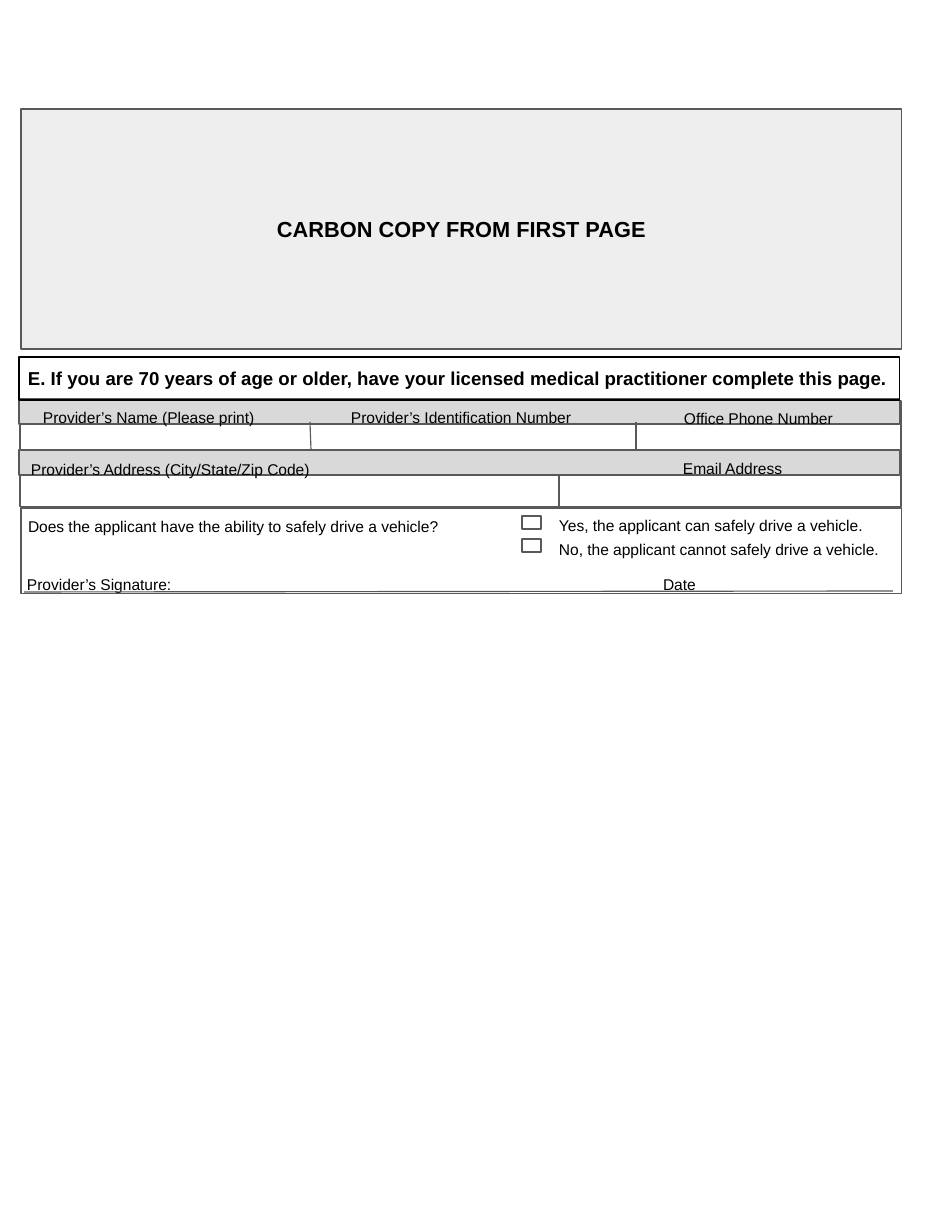
from lxml.etree import SubElement
from pptx import Presentation
from pptx.dml.color import RGBColor
from pptx.enum.shapes import MSO_CONNECTOR, MSO_SHAPE
from pptx.enum.text import MSO_ANCHOR, PP_ALIGN
from pptx.oxml.ns import qn
from pptx.util import Emu, Inches, Pt

BLACK = RGBColor(0x00, 0x00, 0x00)
BORDER = RGBColor(0x59, 0x59, 0x59)
BAND = RGBColor(0xD9, 0xD9, 0xD9)
PANEL = RGBColor(0xEE, 0xEE, 0xEE)

PX_PER_INCH = 112
FORM_WIDTH = 881
BAND_HEIGHT = 25


def px(length):
    return Emu(round(length * Inches(1) / PX_PER_INCH))


def write_text(shape, text, size=10, bold=False, align=PP_ALIGN.LEFT,
               anchor=MSO_ANCHOR.TOP, inset=9):
    frame = shape.text_frame
    frame.word_wrap = True
    frame.vertical_anchor = anchor
    frame.margin_left = frame.margin_right = px(inset)
    frame.margin_top = frame.margin_bottom = px(inset)
    paragraph = frame.paragraphs[0]
    paragraph.alignment = align
    run = paragraph.add_run()
    run.text = text
    run.font.name = "Arial"
    run.font.size = Pt(size)
    run.font.bold = bold
    run.font.color.rgb = BLACK


class FormSlide:
    """Draws form elements, measured in px, on one slide."""

    line_width = Pt(0.75)

    def __init__(self, slide):
        self.slide = slide

    def box(self, left, top, width, height, fill=None, line=BORDER):
        shape = self.slide.shapes.add_shape(
            MSO_SHAPE.RECTANGLE, px(left), px(top), px(width), px(height))
        shape.shadow.inherit = False
        if fill is None:
            shape.fill.background()
        else:
            shape.fill.solid()
            shape.fill.fore_color.rgb = fill
        shape.line.color.rgb = line
        shape.line.width = self.line_width
        return shape

    def label(self, text, left, top, width, height=31):
        shape = self.slide.shapes.add_textbox(
            px(left), px(top), px(width), px(height))
        write_text(shape, text)

    def rule(self, x1, y1, x2, y2):
        connector = self.slide.shapes.add_connector(
            MSO_CONNECTOR.STRAIGHT, px(x1), px(y1), px(x2), px(y2))
        connector.line.color.rgb = BORDER
        connector.line.width = self.line_width
        SubElement(connector._element.spPr, qn("a:effectLst"))


def main():
    presentation = Presentation()
    presentation.slide_width = Inches(8.5)
    presentation.slide_height = Inches(11)
    form = FormSlide(presentation.slides.add_slide(presentation.slide_layouts[6]))

    # Frames and grey header bands
    form.box(21, 508, FORM_WIDTH, 86)
    form.box(20, 401, FORM_WIDTH, 106)
    for top in (450, 399):
        form.box(19, top, FORM_WIDTH, BAND_HEIGHT, fill=BAND)

    heading = form.box(19, 357, FORM_WIDTH, 43, line=BLACK)
    write_text(heading,
               "E. If you are 70 years of age or older, have your licensed "
               "medical practitioner complete this page.",
               size=12, bold=True, anchor=MSO_ANCHOR.MIDDLE)

    for text, left, top, width in (
        ("Provider’s Name (Please print)", 34, 399, 245),
        ("Provider’s Identification Number", 342, 399, 272),
        ("Office Phone Number", 675, 400, 226),
        ("Provider’s Address (City/State/Zip Code)", 22, 451, 343),
        ("Email Address", 674, 450, 272),
        ("Does the applicant have the ability to safely drive a vehicle?",
         19, 508, 506),
        ("Yes, the applicant can safely drive a vehicle.", 550, 507, 358),
        ("No, the applicant cannot safely drive a vehicle.", 550, 531, 358),
        ("Provider’s Signature:", 18, 566, 288),
        ("Date", 654, 566, 272),
    ):
        form.label(text, left, top, width)

    for checkbox_top in (516, 539):
        form.box(522, checkbox_top, 19, 13)

    # Signature line, then column dividers
    form.rule(24, 592, 893, 591)
    form.rule(310, 422, 311, 450)
    form.rule(636, 422, 636, 450)
    form.rule(559, 475, 559, 507)

    carbon_copy = form.box(21, 109, FORM_WIDTH, 240, fill=PANEL)
    write_text(carbon_copy, "CARBON COPY FROM FIRST PAGE", size=14, bold=True,
               align=PP_ALIGN.CENTER, anchor=MSO_ANCHOR.MIDDLE, inset=11)

    presentation.save("out.pptx")


if __name__ == "__main__":
    main()
